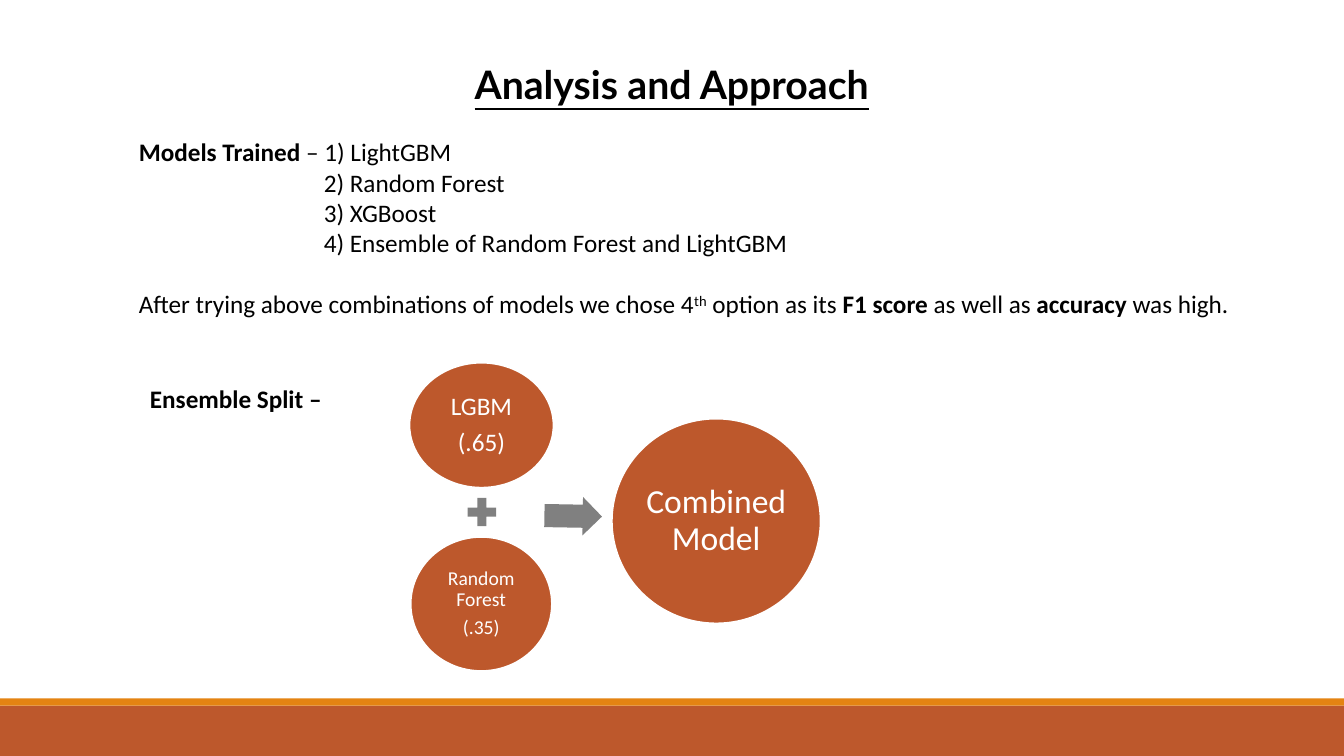
from dataclasses import dataclass

from pptx import Presentation
from pptx.dml.color import RGBColor
from pptx.enum.shapes import MSO_SHAPE
from pptx.enum.text import MSO_ANCHOR, PP_ALIGN
from pptx.util import Cm, Pt


@dataclass(frozen=True)
class Theme:
    rust: RGBColor = RGBColor(0xBD, 0x58, 0x2C)
    orange: RGBColor = RGBColor(0xE4, 0x83, 0x12)
    gray: RGBColor = RGBColor(0x80, 0x80, 0x80)
    white: RGBColor = RGBColor(0xFF, 0xFF, 0xFF)
    black: RGBColor = RGBColor(0, 0, 0)
    heading_font: str = "Lato"
    body_font: str = "Calibri"
    heading: int = 28
    result: int = 24
    body: int = 18
    small: int = 14


class SlideBuilder:
    def __init__(self, slide, theme):
        self.slide = slide
        self.theme = theme

    def style(self, run, size, color, font=None, bold=False):
        run.font.name = font or self.theme.body_font
        run.font.size = Pt(size)
        run.font.color.rgb = color
        run.font.bold = bold

    def shape(self, preset, left, top, width, height, fill, outline=None):
        shape = self.slide.shapes.add_shape(
            preset, Cm(left), Cm(top), Cm(width), Cm(height))
        shape.shadow.inherit = False
        shape.fill.solid()
        shape.fill.fore_color.rgb = fill
        if outline is None:
            shape.line.fill.background()
        else:
            shape.line.color.rgb = outline
            shape.line.width = Pt(1.25)
        return shape

    def circle(self, left, top, width, height, label, size, inset):
        circle = self.shape(MSO_SHAPE.OVAL, left, top, width, height,
                            self.theme.rust, self.theme.white)
        frame = circle.text_frame
        frame.word_wrap = True
        frame.vertical_anchor = MSO_ANCHOR.MIDDLE
        frame.margin_left = frame.margin_right = Cm(inset)
        frame.margin_top = frame.margin_bottom = Cm(inset)
        frame.text = label
        for paragraph in frame.paragraphs:
            paragraph.alignment = PP_ALIGN.CENTER
            paragraph.line_spacing = 0.9
            paragraph.space_after = Pt(round(size * 0.35, 1))
            self.style(paragraph.runs[0], size, self.theme.white)

    def text(self, left, top, width, height, content):
        box = self.slide.shapes.add_textbox(
            Cm(left), Cm(top), Cm(width), Cm(height))
        frame = box.text_frame
        frame.word_wrap = True
        frame.text = content
        for paragraph in frame.paragraphs:
            for run in paragraph.runs:
                self.style(run, self.theme.body, self.theme.black)
        return frame

    def title(self, left, top, width, height, content):
        paragraph = self.text(left, top, width, height, content).paragraphs[0]
        paragraph.alignment = PP_ALIGN.CENTER
        paragraph.line_spacing = 0.9
        heading = paragraph.runs[0]
        self.style(heading, self.theme.heading, self.theme.black,
                   self.theme.heading_font, bold=True)
        heading.font.underline = True

    def indent(self, paragraph, distance):
        properties = paragraph._p.get_or_add_pPr()
        properties.set("marL", str(Cm(distance)))
        properties.set("indent", "0")

    def mixed_runs(self, paragraph, pieces):
        for content, emphasis in pieces:
            run = paragraph.add_run()
            run.text = content
            self.style(run, self.theme.body, self.theme.black,
                       bold=emphasis == "bold")
            if emphasis == "superscript":
                run.font._element.set("baseline", "30000")


def main():
    presentation = Presentation()
    presentation.slide_width = Cm(33.87)
    presentation.slide_height = Cm(19.05)
    theme = Theme()
    builder = SlideBuilder(
        presentation.slides.add_slide(presentation.slide_layouts[6]), theme)

    builder.shape(MSO_SHAPE.RECTANGLE, 0, 17.78, 33.87, 1.27, theme.rust)
    builder.shape(MSO_SHAPE.RECTANGLE, 0, 17.6, 33.87, 0.18, theme.orange)
    builder.title(1.65, 1.52, 30.56, 1.52, "Analysis and Approach")

    models = builder.text(3.25, 3.32, 29.36, 4.88, "\n".join([
        "",
        "2) Random Forest",
        "3) XGBoost",
        "4) Ensemble of Random Forest and LightGBM",
        "",
    ])).paragraphs
    builder.mixed_runs(models[0], [
        ("Models Trained ", "bold"), ("– 1) LightGBM", None)])
    for model in models[1:4]:
        builder.indent(model, 4.66)
    conclusion = models[4]
    conclusion.space_before = Pt(22)
    builder.mixed_runs(conclusion, [
        ("After trying above combinations of models we chose 4", None),
        ("th", "superscript"),
        (" option as its ", None),
        ("F1 score ", "bold"),
        ("as well as ", None),
        ("accuracy ", "bold"),
        ("was high.", None),
    ])

    split = builder.text(3.53, 9.53, 5.05, 1.02, "Ensemble Split –")
    split.paragraphs[0].runs[0].font.bold = True

    builder.circle(10.32, 9.14, 3.63, 3.15, "LGBM\n(.65)", theme.body, 0.08)
    builder.shape(MSO_SHAPE.MATH_PLUS, 11.66, 12.42, 0.97, 0.97, theme.gray)
    builder.circle(10.35, 13.53, 3.56, 3.38, "Random Forest\n(.35)",
                   theme.small, 0.05)
    arrow = builder.shape(MSO_SHAPE.RIGHT_ARROW, 13.72, 12.52, 1.45, 0.97,
                          theme.gray)
    arrow.adjustments[0] = 0.6
    arrow.adjustments[1] = 0.5
    arrow.rotation = 1
    builder.circle(15.42, 10.55, 5.26, 5.16, "Combined Model",
                   theme.result, 0.08)

    presentation.save("out.pptx")


if __name__ == "__main__":
    main()
